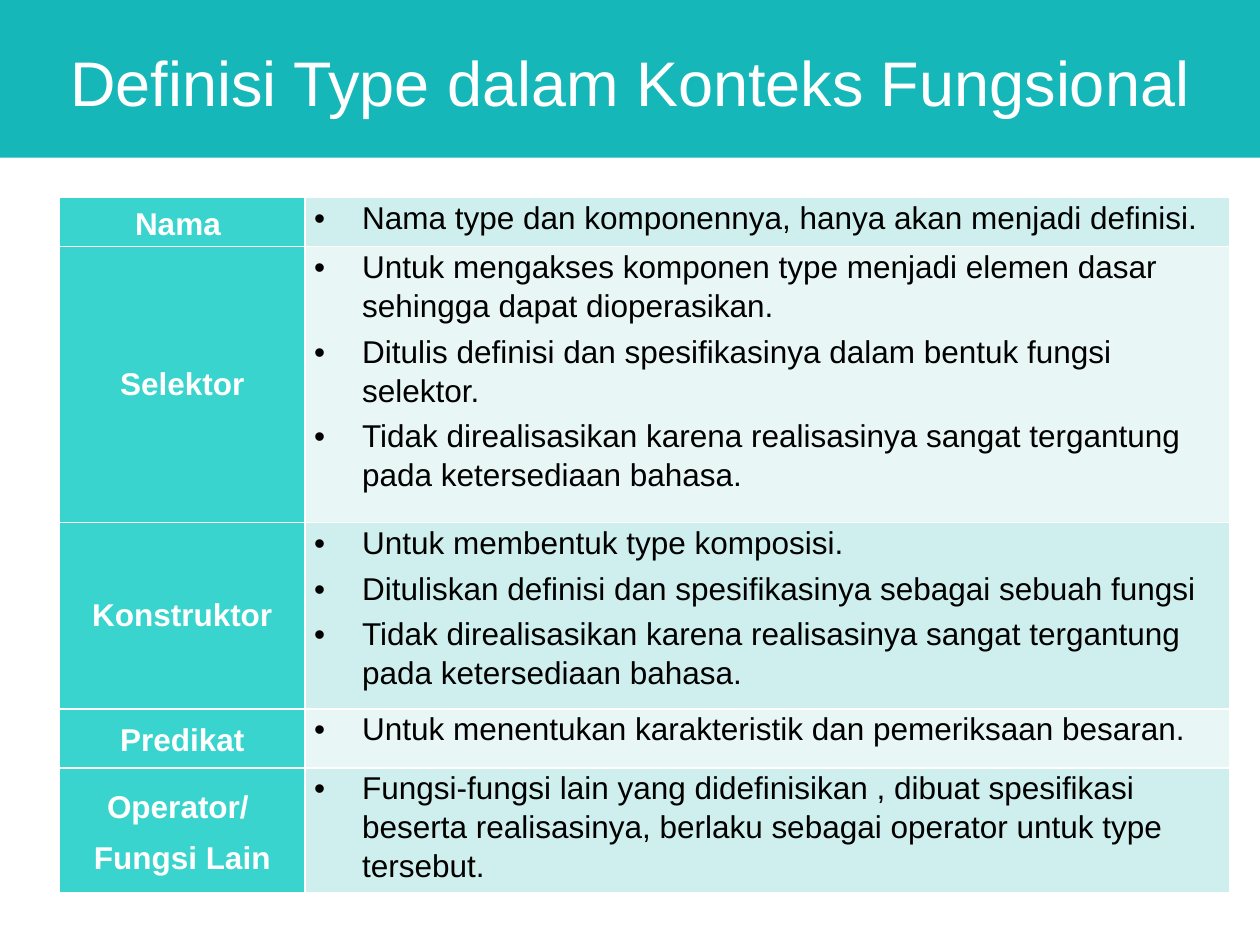
"""Build the slide that defines a type in the functional context."""
from dataclasses import dataclass

from lxml import etree
from pptx import Presentation, util as u
from pptx.dml.color import RGBColor
from pptx.enum import shapes, text
from pptx.oxml import ns

FONT = "Arial"
WHITE, BLACK = "FFFFFF", "000000"
BANNER, LABEL = "16B7B8", "38D4CD"
BANDS = ("CEEFED", "E8F7F6")
COLUMN_WIDTHS = (4.95, 18.64)
CENTER = text.PP_ALIGN.CENTER
SPACED = {"alignment": CENTER, "line_spacing": 1.15, "space_after": u.Pt(6)}
SINGLE = {"alignment": CENTER}
BULLETED = {"alignment": text.PP_ALIGN.LEFT, "line_spacing": 1.1, "space_after": u.Pt(4)}
CELL_MARGINS = {
    "margin_left": u.Cm(0.18), "margin_right": u.Cm(0.18),
    "margin_top": 0, "margin_bottom": 0,
}


@dataclass(frozen=True)
class Part:
    labels: tuple[str, ...]
    points: tuple[str, ...]
    height: float
    label_format: dict


UNREALIZED = "Tidak direalisasikan karena realisasinya sangat tergantung pada ketersediaan bahasa."
PARTS = (
    Part(("Nama ",), ("Nama type dan komponennya, hanya akan menjadi definisi.",), 0.99, SPACED),
    Part(("Selektor",), (
        "Untuk mengakses komponen type menjadi elemen dasar sehingga dapat dioperasikan.",
        "Ditulis definisi dan spesifikasinya dalam bentuk fungsi selektor.",
        UNREALIZED,
    ), 5.56, SINGLE),
    Part(("Konstruktor",), (
        "Untuk membentuk type komposisi.",
        "Dituliskan definisi dan spesifikasinya sebagai sebuah fungsi",
        UNREALIZED,
    ), 3.76, SINGLE),
    Part(("Predikat",), ("Untuk menentukan karakteristik dan pemeriksaan besaran.",), 1.19, SPACED),
    Part(("Operator/ ", "Fungsi Lain"), (
        "Fungsi-fungsi lain yang didefinisikan , dibuat spesifikasi beserta realisasinya, "
        "berlaku sebagai operator untuk type tersebut.",
    ), 2.31, SPACED),
)


def apply(target, values: dict) -> None:
    for name, value in values.items():
        setattr(target, name, value)


def paint(color_format, color: str) -> None:
    color_format.rgb = RGBColor.from_string(color)


def fill_with(fill, color: str) -> None:
    fill.solid()
    paint(fill.fore_color, color)


def add_bullet(paragraph) -> None:
    properties = paragraph._p.get_or_add_pPr()
    properties.set("marL", str(u.Cm(0.97)))
    properties.set("indent", str(-u.Cm(0.97)))
    etree.SubElement(properties, ns.qn("a:buFont"), typeface=FONT)
    etree.SubElement(properties, ns.qn("a:buChar"), char="•")


def write(frame, lines: tuple[str, ...], layout: dict, size: float, color: str,
          bold: bool = False, bulleted: bool = False) -> None:
    for index, line in enumerate(lines):
        paragraph = frame.add_paragraph() if index else frame.paragraphs[0]
        if bulleted:
            add_bullet(paragraph)
        apply(paragraph, layout)
        run = paragraph.add_run()
        run.text = line
        apply(run.font, {"name": FONT, "size": u.Pt(size), "bold": bold})
        paint(run.font.color, color)


def add_borders(cell) -> None:
    properties = cell._tc.get_or_add_tcPr()
    for side in ("lnL", "lnR", "lnT", "lnB"):
        border = etree.SubElement(properties, ns.qn(f"a:{side}"), w=str(u.Pt(1)))
        solid = etree.SubElement(border, ns.qn("a:solidFill"))
        etree.SubElement(solid, ns.qn("a:srgbClr"), val=WHITE)


def format_cell(cell, color: str, anchor) -> None:
    add_borders(cell)
    fill_with(cell.fill, color)
    apply(cell, {**CELL_MARGINS, "vertical_anchor": anchor})


def add_header(slide) -> None:
    banner = slide.shapes.add_shape(
        shapes.MSO_SHAPE.RECTANGLE, 0, 0, u.Cm(25.4), u.Cm(3.18))
    banner.shadow.inherit = False
    fill_with(banner.fill, BANNER)
    banner.line.fill.background()
    title = slide.shapes.add_textbox(0, u.Cm(0.58), u.Cm(25.4), u.Cm(2.13)).text_frame
    apply(title, {"word_wrap": True, "vertical_anchor": text.MSO_ANCHOR.MIDDLE})
    write(title, ("Definisi Type dalam Konteks Fungsional",), SINGLE, 36, WHITE)


def add_parts(slide, parts: tuple[Part, ...]) -> None:
    table = slide.shapes.add_table(
        len(parts), len(COLUMN_WIDTHS), u.Cm(1.2), u.Cm(3.98),
        u.Cm(sum(COLUMN_WIDTHS)), u.Cm(sum(part.height for part in parts))).table
    apply(table, {"first_row": False, "horz_banding": False})
    for column, width in zip(table.columns, COLUMN_WIDTHS):
        column.width = u.Cm(width)
    for index, (row, part) in enumerate(zip(table.rows, parts)):
        row.height = u.Cm(part.height)
        label, points = row.cells
        format_cell(label, LABEL, text.MSO_ANCHOR.MIDDLE)
        write(label.text_frame, part.labels, part.label_format, 18, WHITE, bold=True)
        format_cell(points, BANDS[index % 2], text.MSO_ANCHOR.TOP)
        write(points.text_frame, part.points, BULLETED, 18, BLACK, bulleted=True)


def main() -> None:
    deck = Presentation()
    apply(deck, {"slide_width": u.Cm(25.4), "slide_height": u.Cm(19.05)})
    slide = deck.slides.add_slide(deck.slide_layouts[6])
    add_header(slide)
    add_parts(slide, PARTS)
    deck.save("out.pptx")


if __name__ == "__main__":
    main()
